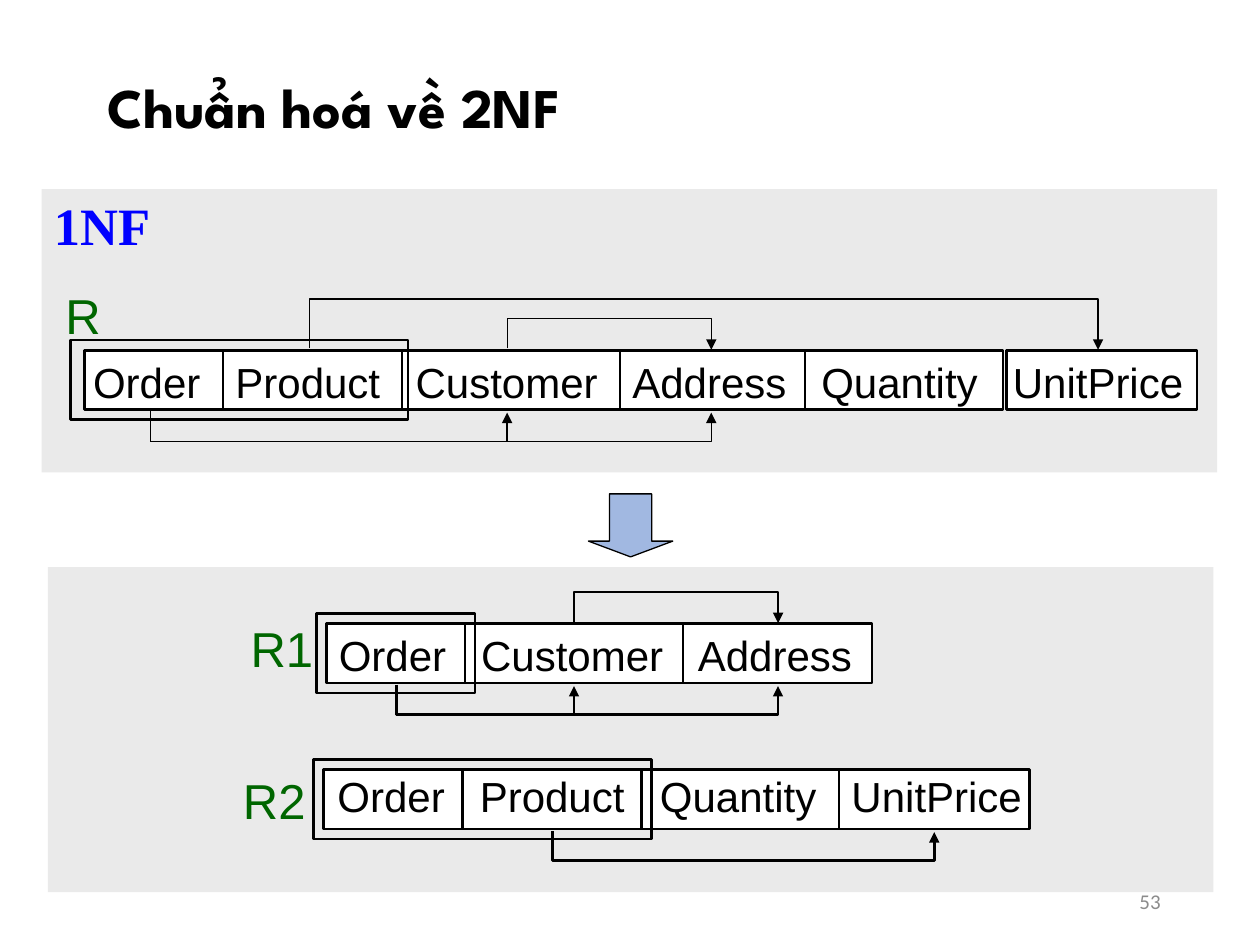
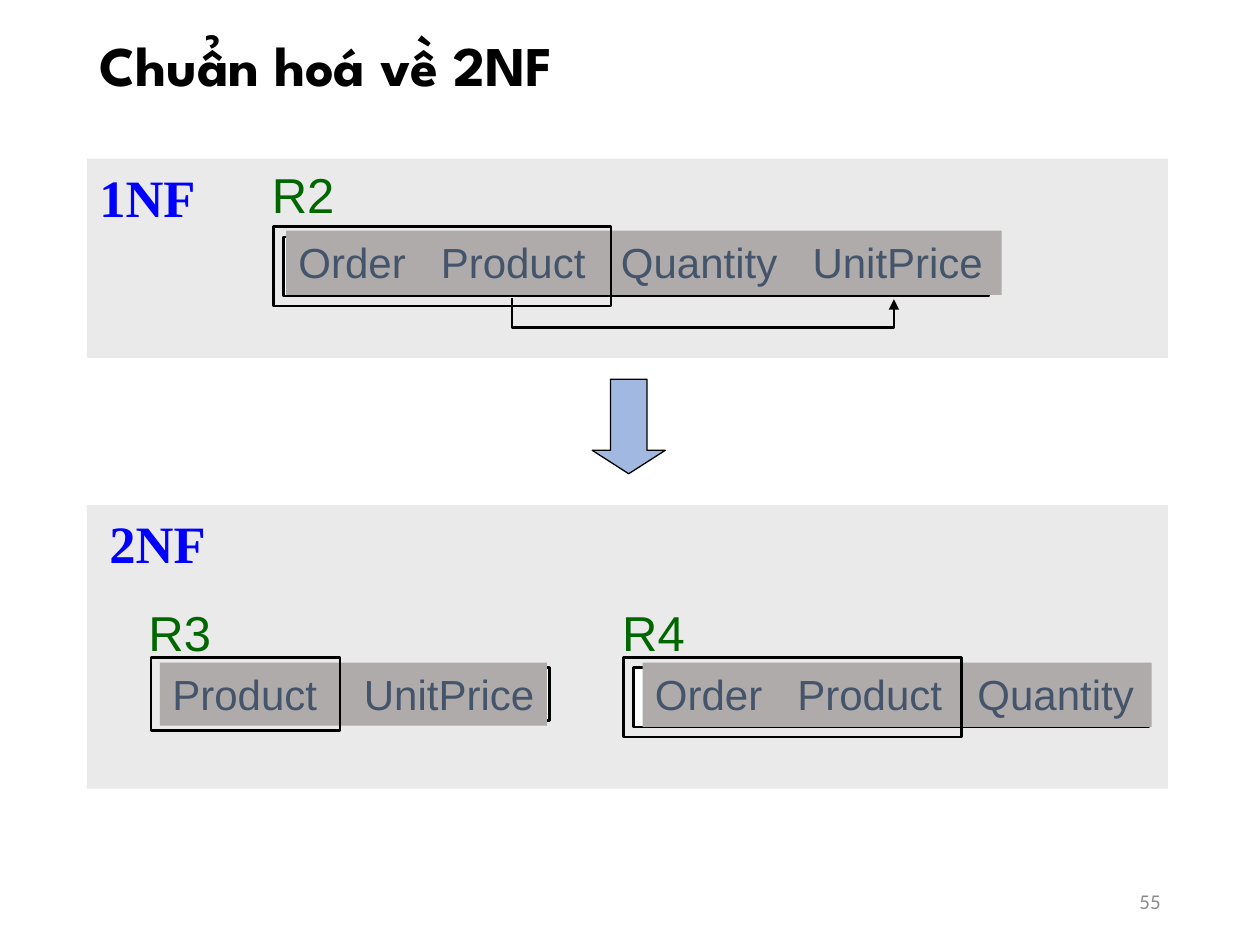
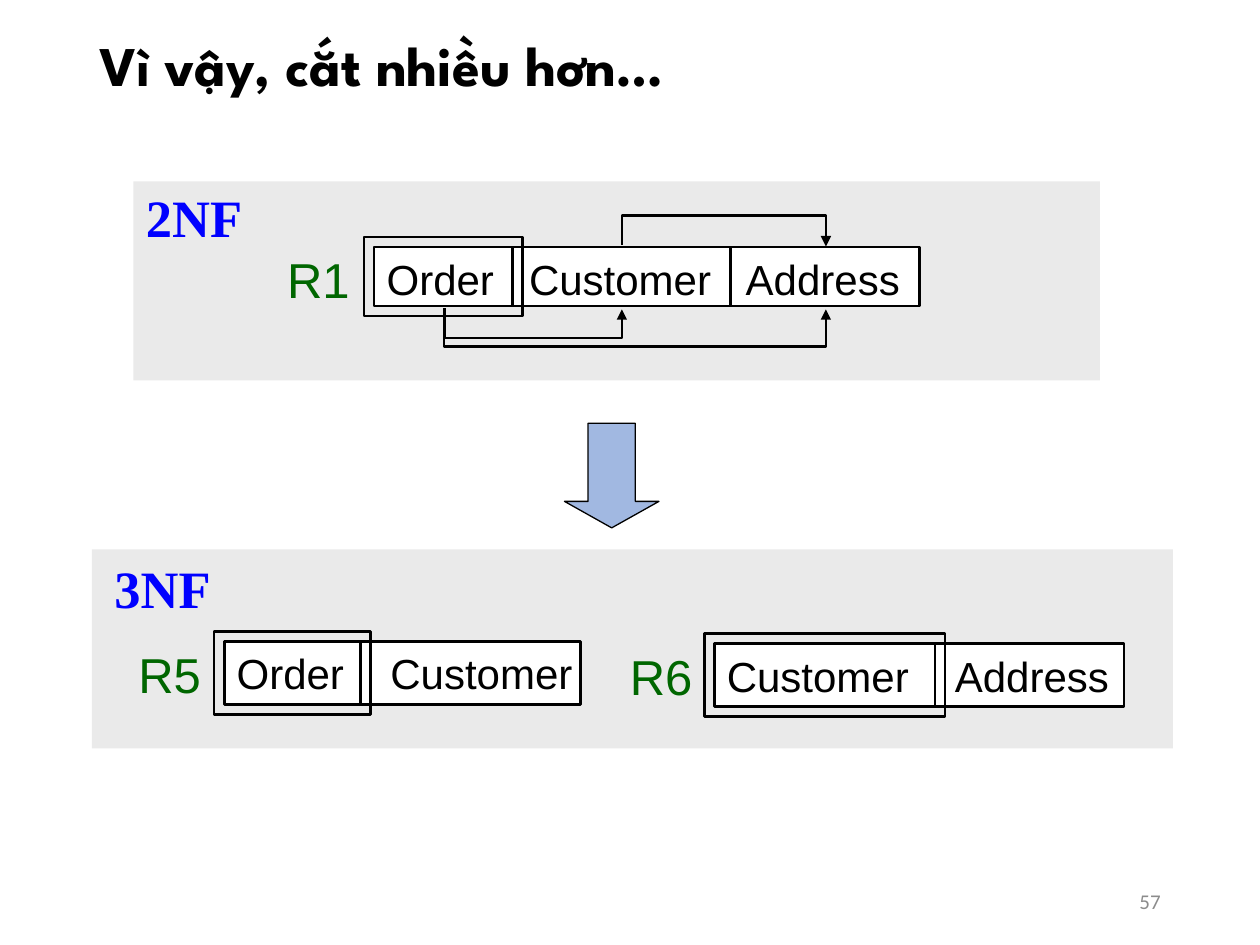
from dataclasses import dataclass
from itertools import accumulate
from typing import Optional

import pptx
import pptx.dml.color
import pptx.enum.shapes
import pptx.enum.text
import pptx.oxml
import pptx.oxml.ns
import pptx.util

PX = 9144  # EMU per px, 100 px to the inch
KIND = pptx.enum.shapes.MSO_SHAPE
ALIGN = pptx.enum.text.PP_ALIGN
Box = tuple[int, int, int, int]


@dataclass(frozen=True)
class Face:
    font: str
    size: int
    color: str
    bold: bool = False


@dataclass(frozen=True)
class Theme:
    title: Face = Face("League Spartan", 32, "000000", True)
    tag: Face = Face("Times New Roman", 30, "0000FF", True)
    label: Face = Face("Arial", 28, "006600")
    words: Face = Face("Arial", 24, "000000")
    muted: Face = Face("Arial", 24, "44546A")
    number: Face = Face("Calibri", 12, "8C8C8C")
    panel: str = "EAEAEA"
    cell: str = "FFFFFF"
    cover: str = "AFABAB"
    arrow: str = "4472C4"
    ink: str = "000000"
    thick: float = 1.5
    thin: float = 0.75


THEME = Theme()

# Usual cell width and text width of each attribute
CELL = {"Order": 110, "Product": 142, "Customer": 173,
        "Address": 150, "Quantity": 157, "UnitPrice": 151}
TEXT = {"Order": 85, "Product": 115, "Customer": 144,
        "Address": 122, "Quantity": 124, "UnitPrice": 135}
RIM = 8  # space between the key frame and its cells


@dataclass(frozen=True)
class Link:
    start: int
    end: int
    depth: int = 24
    above: bool = False


@dataclass(frozen=True)
class Row:
    label: str
    spot: tuple[int, int]
    left: int
    top: int
    words: tuple[str, ...]
    text: Box
    keys: int
    links: tuple[Link, ...] = ()
    wide: Optional[tuple[int, ...]] = None
    shift: Optional[tuple[int, ...]] = None  # extra gap before each cell
    high: int = 47
    gap: int = 28
    slip: int = 0  # moves the key frame and links sideways
    pen: float = THEME.thick
    muted: bool = False


@dataclass(frozen=True)
class Panel:
    box: Box
    rows: tuple[Row, ...]
    tag: str = ""
    spot: tuple[int, int] = (0, 0)


@dataclass(frozen=True)
class Page:
    title: str
    head: Box
    number: str
    panels: tuple[Panel, ...]
    arrow: Box
    tip: float


def rgb(color: str) -> pptx.dml.color.RGBColor:
    return pptx.dml.color.RGBColor.from_string(color)


def scale(box: Box) -> list[int]:
    return [n * PX for n in box]


def add_tag(parent, tag: str, /, **attrs: str):
    node = pptx.oxml.parse_xml(f"<{tag} {pptx.oxml.ns.nsdecls('a')}/>")
    for key, val in attrs.items():
        node.set(key, val)
    parent.append(node)
    return node


def style(para, face: Face) -> None:
    font = para.font
    font.name, font.bold = face.font, face.bold
    font.size = pptx.util.Pt(face.size)
    font.color.rgb = rgb(face.color)


def add_text(slide, box: Box, text: str, face: Face,
             tabs: tuple[int, ...] = ()):
    shape = slide.shapes.add_textbox(*scale(box))
    frame = shape.text_frame
    frame.word_wrap = True
    frame.margin_right = 0
    para = frame.paragraphs[0]
    para.text = text
    if tabs:
        stops = add_tag(para._p.get_or_add_pPr(), "a:tabLst")
        for stop in tabs:
            add_tag(stops, "a:tab", pos=str(stop * PX), algn="l")
    style(para, face)
    return shape


def add_box(slide, box: Box, fill: str = "", pen: float = 0,
            kind=KIND.RECTANGLE):
    shape = slide.shapes.add_shape(kind, *scale(box))
    shape.shadow.inherit = False
    if fill:
        shape.fill.solid()
        shape.fill.fore_color.rgb = rgb(fill)
    else:
        shape.fill.background()
    if pen:
        shape.line.color.rgb = rgb(THEME.ink)
        shape.line.width = pptx.util.Pt(pen)
    else:
        shape.line.fill.background()
    return shape


def add_link(slide, x1: int, x2: int, y: int, link: Link,
             pen: float) -> None:
    """A U-shaped arrow: a bent connector, one px wide, turned upright."""
    mid, half = (x1 + x2) * PX // 2, (x2 - x1) * PX // 2
    y *= PX
    if link.above:
        turn, sign = 90, -1
        ends = (mid, y + half, mid + PX, y - half)
    else:
        turn, sign = 270, 1
        ends = (mid + PX, y - half, mid, y + half)
    line = slide.shapes.add_connector(
        pptx.enum.shapes.MSO_CONNECTOR.ELBOW, *ends)
    line.line.color.rgb = rgb(THEME.ink)
    line.line.width = pptx.util.Pt(pen)
    prop = line.element.spPr
    prop.find(pptx.oxml.ns.qn("a:xfrm")).set("rot", str(turn * 60000))
    bends = prop.find(".//" + pptx.oxml.ns.qn("a:avLst"))
    add_tag(bends, "a:gd", name="adj1",
            fmla=f"val {sign * link.depth * 100000}")
    add_tag(prop.find(pptx.oxml.ns.qn("a:ln")), "a:tailEnd",
            type="triangle")
    add_tag(prop, "a:effectLst")


def add_row(slide, row: Row) -> None:
    # Cells
    wide = row.wide or tuple(CELL[word] for word in row.words)
    shift = row.shift or (0,) * len(wide)
    steps = [w + s for w, s in zip(wide, shift[1:])]
    lefts = list(accumulate(steps, initial=row.left))
    for left, width in zip(lefts, wide):
        add_box(slide, (left, row.top, width, row.high),
                THEME.cell, THEME.thick)
    # Attribute names
    tabs = tuple(accumulate(TEXT[word] + row.gap for word in row.words[:-1]))
    face = THEME.muted if row.muted else THEME.words
    shape = add_text(slide, row.text, "\t".join(row.words), face, tabs)
    if row.muted:
        shape.fill.solid()
        shape.fill.fore_color.rgb = rgb(THEME.cover)
    # Dependencies
    mids = [left + width // 2 + row.slip for left, width in zip(lefts, wide)]
    for link in row.links:
        y = row.top - 1 if link.above else row.top + row.high + 2
        add_link(slide, mids[link.start], mids[link.end], y, link, row.pen)
    # Key frame and label
    span = sum(wide[:row.keys])
    add_box(slide, (row.left - RIM + row.slip, row.top - RIM,
                    span + 2 * RIM, row.high + 2 * RIM), pen=THEME.thick)
    add_text(slide, (*row.spot, 70, 57), row.label, THEME.label)


def add_page(deck, page: Page) -> None:
    slide = deck.slides.add_slide(deck.slide_layouts[5])
    # Title
    title = slide.shapes.title
    title.left, title.top, title.width, title.height = scale(page.head)
    frame = title.text_frame
    frame.text = page.title
    frame.auto_size = pptx.enum.text.MSO_AUTO_SIZE.NONE
    frame.vertical_anchor = pptx.enum.text.MSO_ANCHOR.MIDDLE
    para = frame.paragraphs[0]
    para.alignment, para.line_spacing = ALIGN.LEFT, 0.9
    style(para, THEME.title)
    # Panels
    for panel in page.panels:
        add_box(slide, panel.box, THEME.panel)
        if panel.tag:
            add_text(slide, (*panel.spot, 97, 61), panel.tag, THEME.tag)
        for row in panel.rows:
            add_row(slide, row)
    # Arrow between the panels
    arrow = add_box(slide, page.arrow, THEME.arrow, THEME.thin,
                    KIND.DOWN_ARROW)
    arrow.adjustments[0], arrow.adjustments[1] = 0.5, page.tip
    tint = arrow.element.spPr.find(".//" + pptx.oxml.ns.qn("a:srgbClr"))
    add_tag(tint, "a:alpha", val="50000")
    # Slide number
    foot = add_text(slide, (706, 695, 225, 40), page.number, THEME.number)
    foot.text_frame.margin_right = 10 * PX
    foot.text_frame.vertical_anchor = pptx.enum.text.MSO_ANCHOR.MIDDLE
    foot.text_frame.paragraphs[0].alignment = ALIGN.RIGHT


# Content
ORDER = ("Order", "Customer", "Address")
ITEM = ("Order", "Product", "Quantity", "UnitPrice")
OVER = Link(1, 2, above=True)
HEAD = (69, 15, 862, 78)

PAGES = (
    Page("Chuẩn hoá về 2NF", (75, 25, 850, 125), "53", (
        Panel((33, 150, 933, 225), (
            Row("R", (42, 222), 67, 278,
                ("Order", "Product", "Customer", "Address", "Quantity",
                 "UnitPrice"), (64, 278, 885, 50), 2,
                (Link(0, 2), Link(0, 3), Link(2, 3, above=True),
                 Link(1, 5, 40, True)),
                shift=(0, 0, 0, 0, -3, 3), slip=-3, pen=THEME.thin),
        ), "1NF", (33, 148)),
        Panel((38, 450, 925, 258), (
            Row("R1", (189, 486), 259, 495, ORDER, (259, 495, 428, 50), 1,
                (Link(0, 1), Link(0, 2), OVER)),
            Row("R2", (183, 607), 257, 611, ITEM, (258, 607, 563, 50), 2,
                (Link(1, 3),)),
        )),
    ), (467, 392, 67, 50), 0.25),
    Page("Chuẩn hoá về 2NF", HEAD, "55", (
        Panel((69, 126, 858, 158), (
            Row("R2", (206, 126), 225, 188, ITEM, (227, 183, 568, 51), 2,
                (Link(1, 3),), muted=True),
        ), "1NF", (69, 126)),
        Panel((69, 401, 858, 225), (
            Row("R4", (484, 473), 503, 530, ITEM[:3], (510, 526, 404, 51), 2,
                muted=True),
            Row("R3", (108, 473), 128, 530, ("Product", "UnitPrice"),
                (127, 526, 307, 50), 1, wide=(134, 174), high=42, gap=37,
                muted=True),
        ), "2NF", (77, 401)),
    ), (470, 301, 58, 75), 0.32),
    Page("Vì vậy, cắt nhiều hơn…", HEAD, "57", (
        Panel((106, 144, 767, 158), (
            Row("R1", (218, 193), 297, 196, ORDER, (297, 196, 428, 50), 1,
                (Link(0, 1), Link(0, 2, 31), OVER)),
        ), "2NF", (106, 142)),
        Panel((73, 436, 858, 158), (
            Row("R5", (100, 507), 178, 509, ORDER[:2], (178, 509, 287, 50), 1,
                wide=(108, 175), high=50, gap=37),
            Row("R6", (490, 508), 567, 511, ORDER[1:], (567, 511, 324, 50), 1,
                wide=(175, 150), high=50, gap=37),
        ), "3NF", (81, 436)),
    ), (448, 336, 75, 83), 0.28),
)


def main() -> None:
    deck = pptx.Presentation()
    deck.slide_width, deck.slide_height = 1000 * PX, 750 * PX
    for page in PAGES:
        add_page(deck, page)
    deck.save("out.pptx")


if __name__ == "__main__":
    main()
